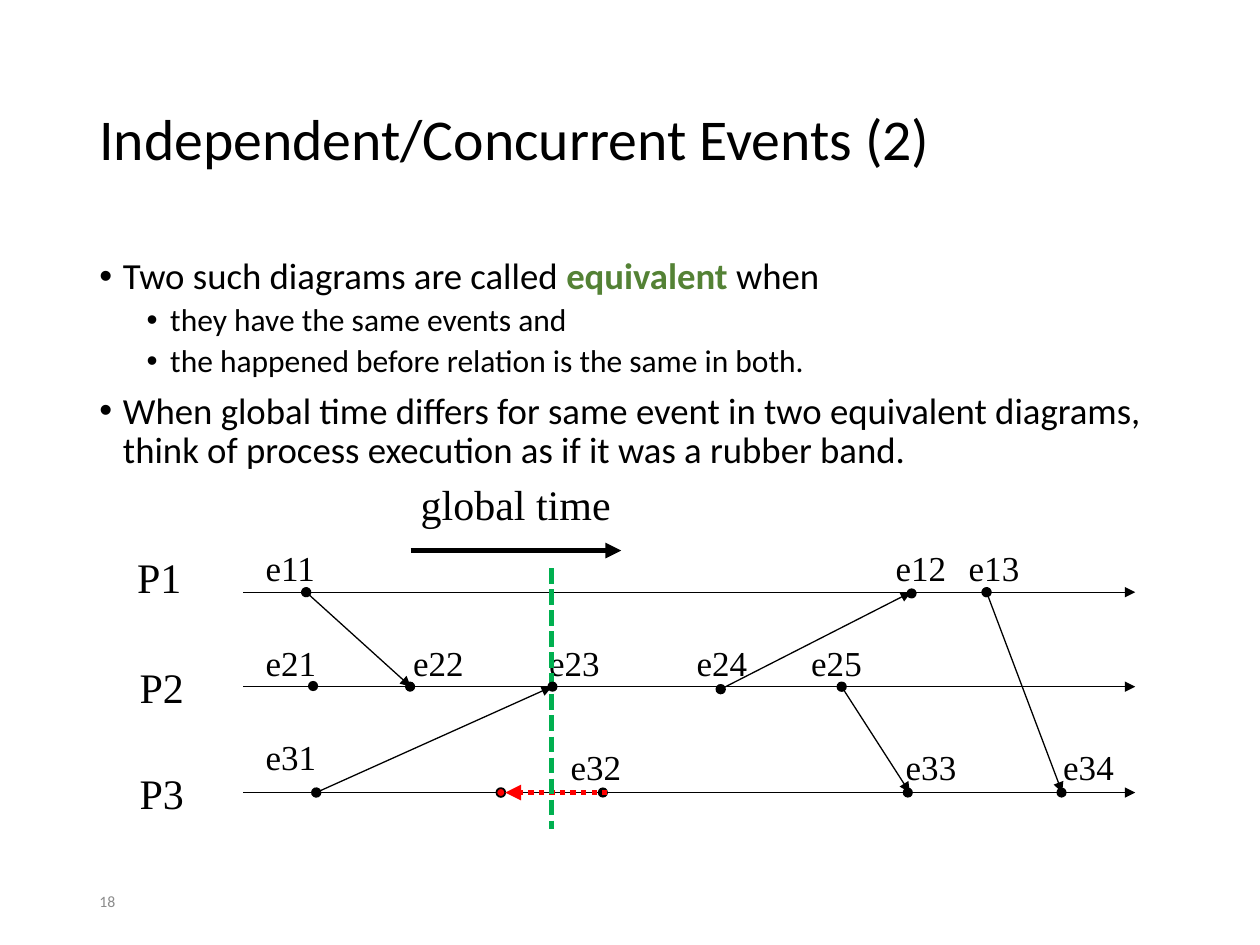
"""Build the slide on independent and concurrent events."""
from typing import NamedTuple, Optional

from lxml import etree
from pptx import Presentation
from pptx import util as u
from pptx.dml.color import RGBColor
from pptx.enum import dml, shapes, text
from pptx.oxml.ns import qn

BLACK = RGBColor(0, 0, 0)
GREY = RGBColor(0x8C, 0x8C, 0x8C)
GREEN = RGBColor(0x00, 0xB0, 0x50)
OLIVE = RGBColor(0x54, 0x82, 0x35)
RED = RGBColor(0xFF, 0, 0)
SANS, SERIF = "Calibri", "Times New Roman"
WIDTH, HEIGHT = u.Inches(10), u.Inches(7.5)
COLS, ROWS = 100, 75
P1, P2, P3 = 47, 54.5, 62.9
DOT = 0.7


class Label(NamedTuple):
    name: str
    left: float
    top: float
    size: float = 20
    width: float = 6


class Arrow(NamedTuple):
    x1: float
    y1: float
    x2: float
    y2: float
    color: RGBColor = BLACK
    weight: float = 0.75
    head: Optional[str] = None
    tail: Optional[str] = "triangle"
    dash: Optional[dml.MSO_LINE] = None


class Dot(NamedTuple):
    x: float
    y: float
    fill: RGBColor = BLACK
    weight: float = 0.75


class Bullet(NamedTuple):
    runs: tuple
    level: int = 0


BULLETS = (
    Bullet((("Two such diagrams are called ", BLACK), ("equivalent ", OLIVE), ("when", BLACK))),
    Bullet((("they have the same events and", BLACK),), 1),
    Bullet((("the happened before relation is the same in both.", BLACK),), 1),
    Bullet((("When global time differs for same event in two equivalent diagrams, "
             "think of process execution as if it was a rubber band.", BLACK),)),
)
PROCESSES = (Label("P1", 9.9, 43.3, 24, 5.5), Label("P2", 10.1, 52, 24, 5.5),
             Label("P3", 10.1, 60.4, 24, 5.5))
EVENT_ROWS = (
    (P1 - 4.1, (("e11", 20.1), ("e12", 70.1), ("e13", 75.9))),
    (P2 - 4.1, (("e21", 20.1), ("e22", 31.8), ("e23", 42.6), ("e24", 54.3), ("e25", 63.4))),
    (P3 - 5, (("e31", 20.1),)),
    (P3 - 4.2, (("e32", 44.3), ("e33", 70.9), ("e34", 83.4))),
)
MESSAGES = ((24.3, P1, 32.6, P2), (25.1, P3, 43.8, P2), (57.2, P2 + 0.2, 72.3, P1),
            (66.8, P2, 72.2, P3), (78.3, P1, 84.3, P3))
GLOBAL_TIME = Label("global time", 32.4, 37.5, 24, 17.1)
TIME_ARROW = Arrow(32.6, 43.7, 49.3, 43.7, weight=3)
SHIFT = Arrow(48.2, P3, 40.1, P3, RED, 3, dash=dml.MSO_LINE.ROUND_DOT)
CUT = Arrow(43.8, 45.1, 43.8, 65.8, GREEN, 3, tail=None, dash=dml.MSO_LINE.SQUARE_DOT)
MOVED_DOTS = (Dot(24.85, P2 - 0.05), Dot(47.85, P3), Dot(39.75, P3, RED, 1))
END_DOTS = (Dot(32.55, P2), Dot(43.85, P2), Dot(72.05, P3), Dot(72.35, P1 + 0.1),
            Dot(84.25, P3))


def col(n: float) -> int:
    """Return a length of n grid columns."""
    return round(WIDTH * n / COLS)


def row(n: float) -> int:
    """Return a length of n grid rows."""
    return round(HEIGHT * n / ROWS)


def add_box(s, left: float, top: float, width: float, height: float,
            wrap: bool = True, anchor=text.MSO_ANCHOR.TOP):
    """Add an empty text box and return its frame."""
    tf = s.shapes.add_textbox(col(left), row(top), col(width), row(height)).text_frame
    tf.word_wrap = wrap
    tf.vertical_anchor = anchor
    return tf


def add_text(p, words: str, *, size: float, font: str = SANS,
             color: RGBColor = BLACK, bold: bool = False) -> None:
    """Add one formatted run to a paragraph."""
    r = p.add_run()
    r.text = words
    r.font.size, r.font.name, r.font.bold = u.Pt(size), font, bold
    r.font.color.rgb = color


def add_label(s, label: Label) -> None:
    """Draw a diagram label."""
    height = 5 if label.size > 20 else 4.3
    tf = add_box(s, label.left, label.top, label.width, height, wrap=False)
    add_text(tf.paragraphs[0], label.name, size=label.size, font=SERIF)


def add_arrow(s, a: Arrow) -> None:
    """Draw a straight line with its ends and dash."""
    sp = s.shapes.add_connector(shapes.MSO_CONNECTOR.STRAIGHT,
                                col(a.x1), row(a.y1), col(a.x2), row(a.y2))
    sp.line.color.rgb = a.color
    sp.line.width = u.Pt(a.weight)
    if a.dash:
        sp.line.dash_style = a.dash
    ln = sp.line._get_or_add_ln()
    for tag, kind in (("a:headEnd", a.head), ("a:tailEnd", a.tail)):
        if kind:
            etree.SubElement(ln, qn(tag), type=kind)
    etree.SubElement(sp._element.spPr, qn("a:effectLst"))


def add_dot(s, d: Dot) -> None:
    """Draw an event dot around its centre."""
    sp = s.shapes.add_shape(shapes.MSO_SHAPE.OVAL, col(d.x - DOT / 2), row(d.y - DOT / 2),
                            col(DOT), row(DOT))
    sp.shadow.inherit = False
    sp.fill.solid()
    sp.fill.fore_color.rgb = d.fill
    sp.line.color.rgb = BLACK
    sp.line.width = u.Pt(d.weight)


def add_bullet(p, b: Bullet) -> None:
    """Fill a bulleted paragraph at its level."""
    size, before = ((21, 7.5), (18, 3.8))[b.level]
    p.level, p.line_spacing, p.space_before = b.level, 0.9, u.Pt(before)
    ppr = p._p.get_or_add_pPr()
    indent = u.Inches(0.1875)
    ppr.set("marL", str(indent * (1 + 2 * b.level)))
    ppr.set("indent", str(-indent))
    etree.SubElement(ppr, qn("a:buFont"), typeface="Arial")
    etree.SubElement(ppr, qn("a:buChar"), char="•")
    for words, color in b.runs:
        add_text(p, words, size=size, color=color, bold=color == OLIVE)


def add_diagram(s) -> None:
    """Draw the processes, events and messages."""
    for y in (P1, P2, P3):
        add_arrow(s, Arrow(19.3, y, 90.1, y))
    events = [Label(name, x, y) for y, names in EVENT_ROWS for name, x in names]
    for label in (*PROCESSES, *events, GLOBAL_TIME):
        add_label(s, label)
    for ends in MESSAGES:
        add_arrow(s, Arrow(*ends, head="oval"))
    add_arrow(s, TIME_ARROW)
    for dot in MOVED_DOTS:
        add_dot(s, dot)
    add_arrow(s, SHIFT)
    add_arrow(s, CUT)
    for dot in END_DOTS:
        add_dot(s, dot)


def main() -> None:
    """Build and save the slide."""
    prs = Presentation()
    prs.slide_width, prs.slide_height = WIDTH, HEIGHT
    s = prs.slides.add_slide(prs.slide_layouts[6])
    p = add_box(s, 6.9, 4, 86.2, 14.5, anchor=text.MSO_ANCHOR.MIDDLE).paragraphs[0]
    p.line_spacing = 0.9
    add_text(p, "Independent/Concurrent Events (2)", size=33)
    tf = add_box(s, 6.9, 20, 86.2, 47.6)
    for i, bullet in enumerate(BULLETS):
        add_bullet(tf.add_paragraph() if i else tf.paragraphs[0], bullet)
    add_diagram(s)
    tf = add_box(s, 6.9, 69.5, 22.5, 4, anchor=text.MSO_ANCHOR.MIDDLE)
    add_text(tf.paragraphs[0], "18", size=9, color=GREY)
    prs.save("out.pptx")


if __name__ == "__main__":
    main()
